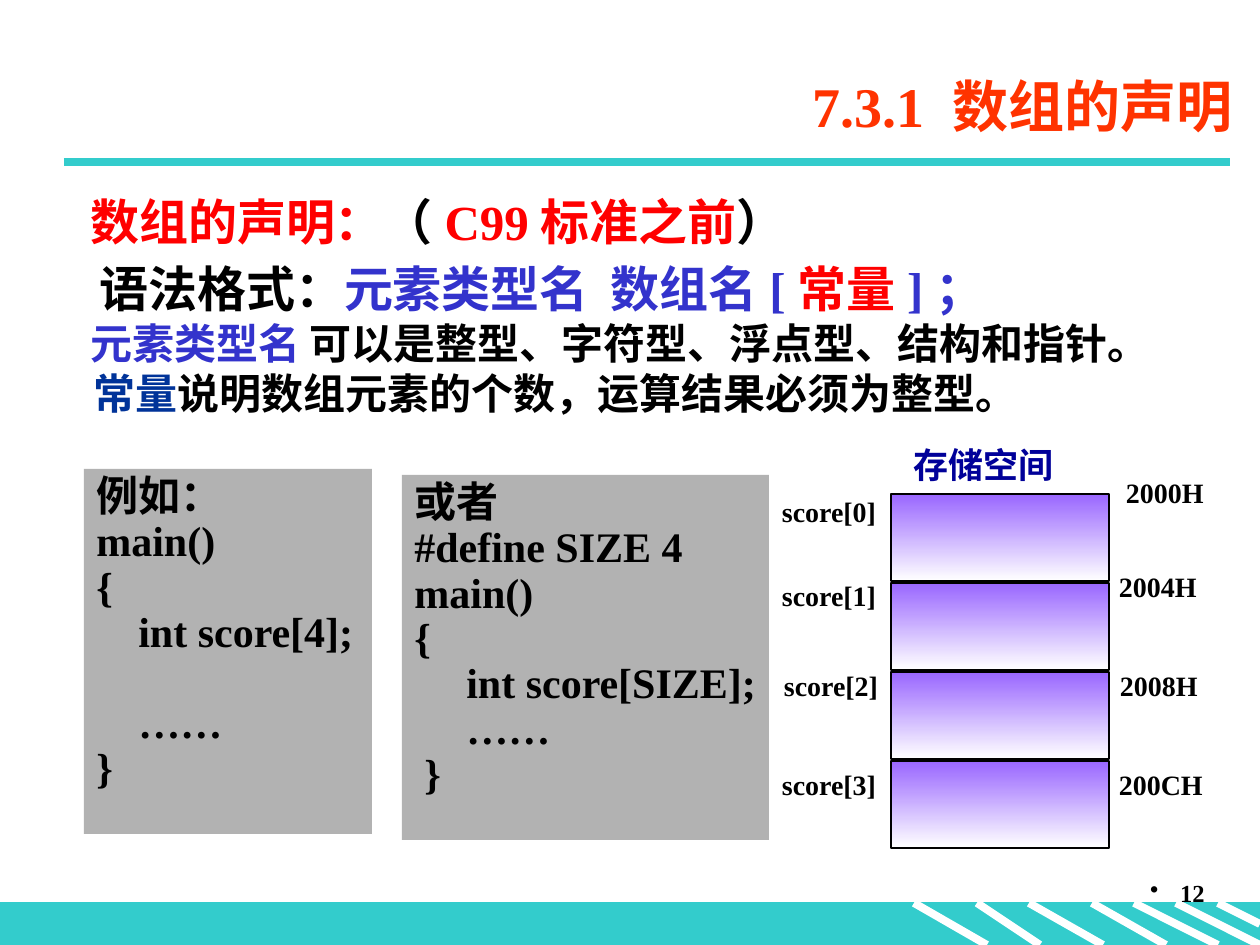
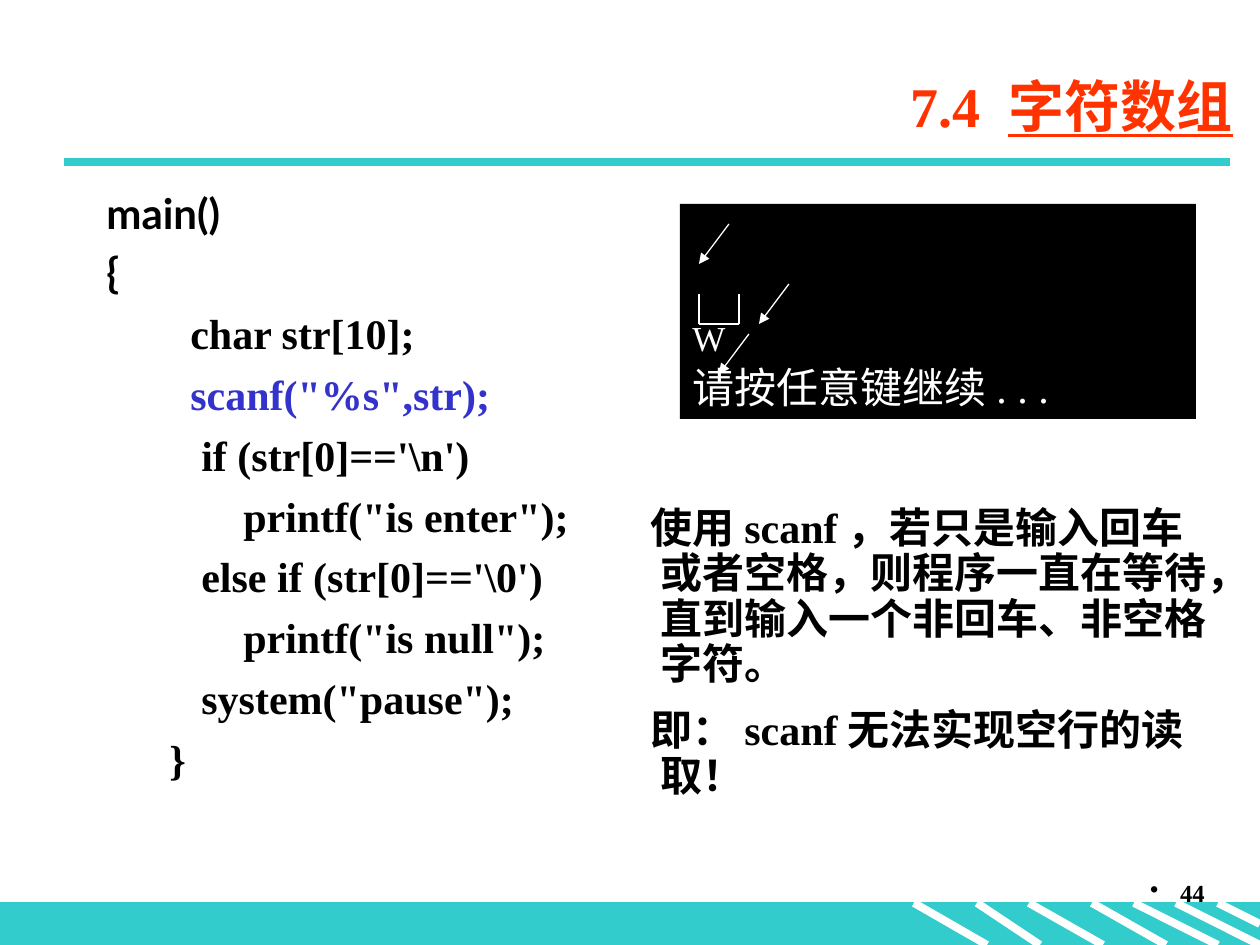
"""Build two lecture slides about C arrays."""
from lxml.etree import SubElement as Sub
from pptx import Presentation
from pptx.dml.color import RGBColor as Rgb
from pptx.enum.shapes import MSO_CONNECTOR as Link, MSO_SHAPE as Form
from pptx.enum.text import MSO_ANCHOR as Anchor, PP_ALIGN as Align
from pptx.oxml.ns import qn
from pptx.util import Pt

SCALE = 914400 // 126
WIDE, HIGH = 1260, 945
SERIF, SANS = "Times New Roman", "Lato"
INK = {
    "black": "000000", "white": "FFFFFF", "teal": "33CCCC", "title": "FF3300",
    "red": "FF0000", "blue": "3333CC", "navy": "003399", "dark": "000099",
    "gray": "B2B2B2", "violet": "9966FF",
}
STRIPES = [
    (977, 903, 1040, 945), (914, 903, 987, 945), (1029, 903, 1103, 945),
    (1176, 903, 1260, 945), (1134, 903, 1218, 945), (1218, 903, 1260, 924),
    (1092, 903, 1166, 945),
]


def px(*sizes):
    """Turn pixels into EMU."""
    return [size * SCALE for size in sizes]


def rgb(name):
    """Look up a colour by name."""
    return Rgb.from_string(INK[name])


def write(frame, *runs, size=24, color="black", font=SERIF, bold=True,
          align=Align.LEFT, left=0, hang=0, before=0, space=None):
    """Add one paragraph; a run is text or (text, colour, underline)."""
    para = frame.paragraphs[0]
    if para.runs:
        para = frame.add_paragraph()
    para.alignment = align
    para.space_before = Pt(before)
    if space:
        para.line_spacing = space
    props = para._p.get_or_add_pPr()
    props.set("marL", str(left * SCALE))
    props.set("indent", str(hang * SCALE))
    for item in runs:
        text, tint, under = (item, color, False) if isinstance(item, str) else item
        run = para.add_run()
        run.text = text
        run.font.size, run.font.name = Pt(size), font
        run.font.bold, run.font.underline = bold, under
        run.font.color.rgb = rgb(tint)
    return para


def area(slide, x, y, w, h, anchor=Anchor.TOP, wrap=True, inset=True):
    """Add a text box and return its frame."""
    frame = slide.shapes.add_textbox(*px(x, y, w, h)).text_frame
    frame.word_wrap, frame.vertical_anchor = wrap, anchor
    if not inset:
        frame.margin_left = frame.margin_right = 0
        frame.margin_top = frame.margin_bottom = 0
    return frame


def block(slide, x, y, w, h, fill, edge=None, width=0.75, anchor=Anchor.TOP):
    """Add a rectangle filled with one colour or a pair fading downwards."""
    shape = slide.shapes.add_shape(Form.RECTANGLE, *px(x, y, w, h))
    shape.shadow.inherit = False
    if isinstance(fill, tuple):
        shape.fill.gradient()
        shape.fill.gradient_angle = 270
        for stop, tint in zip(shape.fill.gradient_stops, fill):
            stop.color.rgb = rgb(tint)
    else:
        shape.fill.solid()
        shape.fill.fore_color.rgb = rgb(fill)
    if edge:
        shape.line.color.rgb, shape.line.width = rgb(edge), Pt(width)
    else:
        shape.line.fill.background()
    shape.text_frame.word_wrap = True
    shape.text_frame.vertical_anchor = anchor
    return shape.text_frame


def line(slide, ends, color="white", width=0.75, arrow=False):
    """Draw a straight line, with an arrowhead at its end if asked."""
    link = slide.shapes.add_connector(Link.STRAIGHT, *px(*ends))
    link.line.color.rgb, link.line.width = rgb(color), Pt(width)
    if arrow:
        Sub(link.line._get_or_add_ln(), qn("a:tailEnd"), type="triangle")
    Sub(link._element.spPr, qn("a:effectLst"))


def base(deck, number, *title):
    """Add a slide with its title, rule, striped band and number."""
    slide = deck.slides.add_slide(deck.slide_layouts[6])
    block(slide, 0, 903, WIDE, 42, "teal", "teal")
    for ends in STRIPES:
        line(slide, ends, width=4.5)
    line(slide, (64, 162, 1230, 162), "teal", 4.5)
    write(area(slide, 174, 55, 1071, 100, Anchor.MIDDLE), *title,
          size=32, color="title", align=Align.RIGHT)
    para = write(area(slide, 955, 872, 262, 63), number, size=14,
                 align=Align.RIGHT, left=30, hang=-30)
    Sub(para._p.pPr, qn("a:buChar"), char="•")
    return slide


def code(slide, x, y, w, rows):
    """Add a gray listing; rows are (text, indent, space before)."""
    frame = block(slide, x, y, w, 365, "gray")
    for text, left, before in rows:
        write(frame, text, left=left, before=before, space=0.9)


def label(slide, x, y, text):
    """Add a small label beside a memory cell."""
    write(area(slide, x, y, 96, 34, wrap=False, inset=False), text,
          size=16, space=0.9)


def memory(slide):
    """Draw the four cells with their names and addresses."""
    write(area(slide, 901, 442, 297, 54), "存储空间", size=20, color="dark",
          space=0.9)
    cells = [
        (782, 498, 1126, 479, "2000H"), (782, 582, 1119, 573, "2004H"),
        (784, 672, 1120, 672, "2008H"), (782, 771, 1119, 771, "200CH"),
    ]
    for i, (left, top, right, high, place) in enumerate(cells):
        block(slide, 891, 494 + 89 * i, 218, 87, ("violet", "white"), "black", 1.25)
        label(slide, left, top, f"score[{i}]")
        label(slide, right, high, place)


def declare(deck):
    """Build the slide on declaring arrays."""
    slide = base(deck, "12", "7.3.1 数组的声明")
    body = area(slide, 25, 185, 1235, 238)
    write(body, ("数组的声明：", "red", False), "（",
          ("C99标准之前", "red", False), "）", size=28, left=53)
    write(body, "语法格式：", ("元素类型名  数组名[", "blue", False),
          ("常量", "red", False), ("]；", "blue", False),
          size=28, left=62, before=5)
    write(body, ("元素类型名", "blue", False),
          " 可以是整型、字符型、浮点型、结构和指针。", left=53)
    write(body, ("常量", "navy", False),
          "说明数组元素的个数，运算结果必须为整型。", left=56)
    code(slide, 84, 469, 288, [
        ("例如：", 0, 0), ("main()", 0, 0), ("{", 0, 0),
        ("int score[4];", 42, 0), ("……", 42, 26), ("}", 0, 0)])
    code(slide, 402, 475, 367, [
        ("或者", 0, 0), ("#define SIZE 4", 0, 0), ("main()", 0, 0), ("{", 0, 0),
        ("int score[SIZE];", 52, 0), ("……", 52, 0), ("}", 10, 0)])
    memory(slide)


def screen(slide):
    """Draw the console with its key marks."""
    frame = block(slide, 680, 204, 516, 215, "black", anchor=Anchor.BOTTOM)
    write(frame, "W", size=20, color="white", bold=False, space=0.9)
    write(frame, "请按任意键继续. . .", color="white", bold=False,
          before=5, space=0.9)
    for x, y in [(749, 334), (789, 284), (729, 224)]:
        line(slide, (x, y, x - 30, y + 40), arrow=True)
    marks = [(699, 294), (699, 324), (739, 324), (739, 294)]
    for start, end in zip(marks, marks[1:]):
        line(slide, start + end)


def chars(deck):
    """Build the slide on character arrays."""
    slide = base(deck, "44", "7.4 ", ("字符数组", "title", True))
    body = area(slide, 94, 181, 1071, 635)
    for text in ("main()", "{"):
        write(body, text, font=SANS, before=5)
    rows = [
        ("char str[10];", 84, "black"), ('scanf("%s",str);', 84, "blue"),
        ("if (str[0]=='\\n')", 95, "black"),
        ('printf("is enter");', 137, "black"),
        ("else if (str[0]=='\\0')", 95, "black"),
        ('printf("is null");', 137, "black"),
        ('system("pause");', 95, "black"), ("}", 63, "black"),
    ]
    for text, left, tint in rows:
        write(body, text, color=tint, left=left, before=6)
    screen(slide)
    note = area(slide, 600, 501, 630, 267)
    for text in (
        "使用scanf，若只是输入回车或者空格，则程序一直在等待，直到输入一个非回车、非空格字符。",
        "即：scanf无法实现空行的读取！",
    ):
        write(note, text, left=48, hang=-10, before=12, space=0.9)


def main():
    """Build and save the deck."""
    deck = Presentation()
    deck.slide_width, deck.slide_height = px(WIDE, HIGH)
    declare(deck)
    chars(deck)
    deck.save("out.pptx")


if __name__ == "__main__":
    main()
